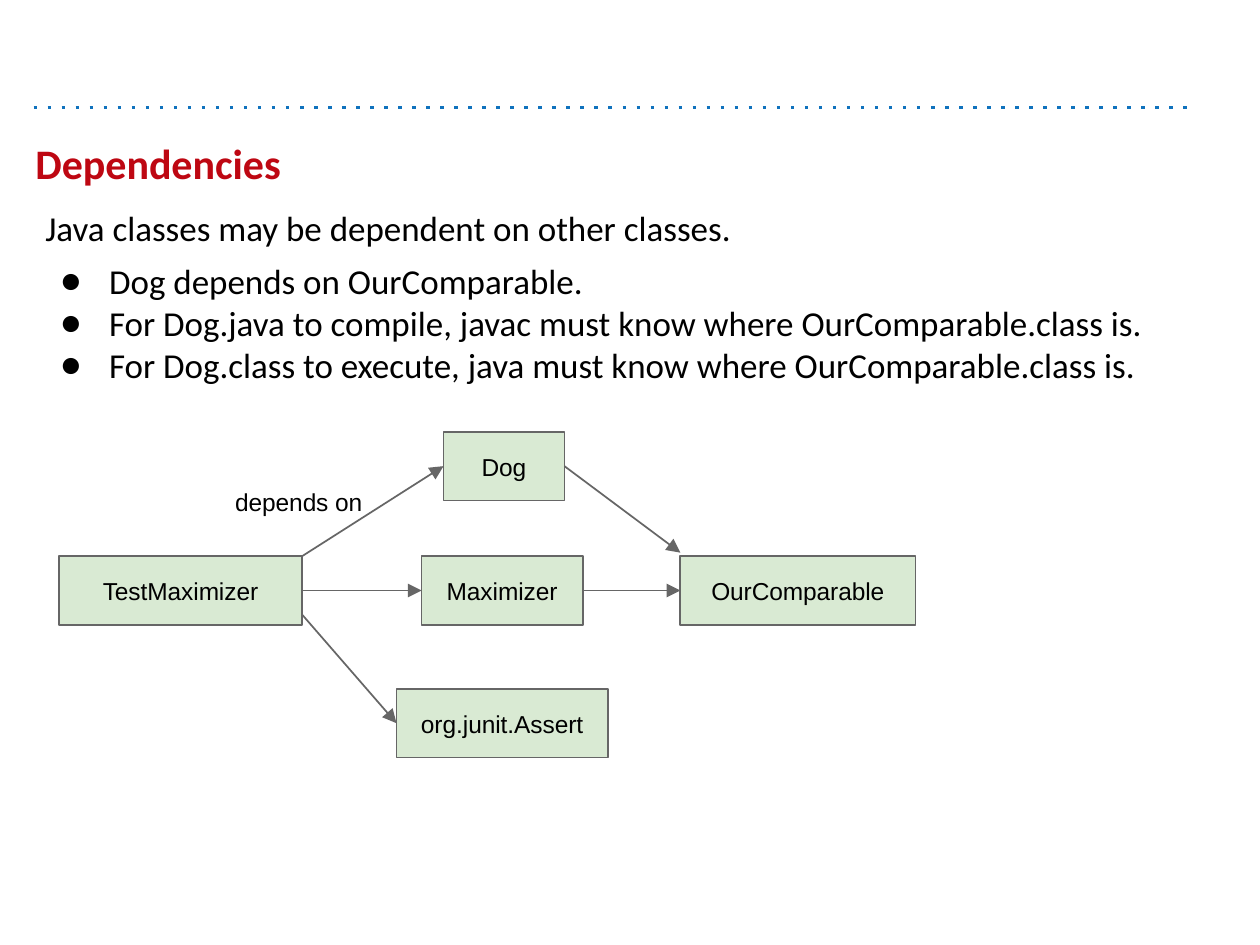
"""Build a slide showing the dependencies between Java classes."""
from lxml import etree
from pptx import Presentation
from pptx.dml.color import RGBColor
from pptx.enum.shapes import MSO_CONNECTOR, MSO_SHAPE
from pptx.enum.text import MSO_ANCHOR, PP_ALIGN
from pptx.oxml.ns import qn
from pptx.util import Inches, Pt

STRAIGHT, RECTANGLE = MSO_CONNECTOR.STRAIGHT, MSO_SHAPE.RECTANGLE
TOP, MIDDLE, BOTTOM = MSO_ANCHOR.TOP, MSO_ANCHOR.MIDDLE, MSO_ANCHOR.BOTTOM
LEFT, CENTER = PP_ALIGN.LEFT, PP_ALIGN.CENTER

THEME = {
    "title": ("Calibri", 18, "BE0712", True),
    "body": ("Calibri", 15, "000000", False),
    "diagram": ("Arial", 10.5, "000000", False),
    "rule": "1072BD",
    "box": "D9EAD3",
    "edge": "666666",
}
SLIDE_WIDTH = 7.5
SLIDE_HEIGHT = SLIDE_WIDTH * 3 / 4
TITLE = "Dependencies"
INTRO = "Java classes may be dependent on other classes."
BULLETS = [
    "Dog depends on OurComparable.",
    "For Dog.java to compile, javac must know where OurComparable.class is.",
    "For Dog.class to execute, java must know where OurComparable.class is.",
]
BOX_HEIGHT = 0.41
CLASSES = {
    "TestMaximizer": (0.35, 3.31, 1.45),
    "Dog": (2.64, 2.57, 0.72),
    "Maximizer": (2.51, 3.31, 0.96),
    "org.junit.Assert": (2.36, 4.1, 1.26),
    "OurComparable": (4.05, 3.31, 1.4),
}
MID = BOX_HEIGHT / 2
DEPENDENCIES = [
    ("TestMaximizer", 0, "Dog", MID),
    ("TestMaximizer", MID, "Maximizer", MID),
    ("TestMaximizer", 0.35, "org.junit.Assert", MID),
    ("Dog", MID, "OurComparable", -0.02),
    ("Maximizer", MID, "OurComparable", MID),
]
LABEL = "depends on"


def style_paragraph(paragraph, text, style, alignment=LEFT):
    name, size, color, bold = THEME[style]
    paragraph.text = text
    paragraph.alignment = alignment
    font = paragraph.font
    font.name, font.size, font.bold = name, Pt(size), bold
    font.color.rgb = RGBColor.from_string(color)


def prepare_frame(shape, anchor):
    frame = shape.text_frame
    frame.word_wrap = True
    frame.vertical_anchor = anchor
    frame.margin_left = frame.margin_right = Inches(0.07)
    frame.margin_top = frame.margin_bottom = Inches(0.07)
    return frame


def add_text(slide, bounds, text, style, anchor=TOP):
    frame = prepare_frame(slide.shapes.add_textbox(*map(Inches, bounds)), anchor)
    style_paragraph(frame.paragraphs[0], text, style)
    return frame


def add_bullet(frame, text):
    name, size, color, _ = THEME["body"]
    paragraph = frame.add_paragraph()
    properties = paragraph._p.get_or_add_pPr()
    properties.set("marL", str(Inches(0.38)))
    properties.set("indent", str(Inches(-0.29)))
    bullet_color = etree.SubElement(properties, qn("a:buClr"))
    etree.SubElement(bullet_color, qn("a:srgbClr")).set("val", color)
    etree.SubElement(properties, qn("a:buSzPts")).set("val", str(size * 100))
    etree.SubElement(properties, qn("a:buFont")).set("typeface", name)
    etree.SubElement(properties, qn("a:buChar")).set("char", "●")
    style_paragraph(paragraph, text, "body")
    return paragraph


def add_line(slide, start, end, color, width):
    line = slide.shapes.add_connector(STRAIGHT, *map(Inches, (*start, *end)))
    line.line.color.rgb = RGBColor.from_string(color)
    line.line.width = Pt(width)
    etree.SubElement(line._element.spPr, qn("a:effectLst"))
    return line.line._get_or_add_ln()


def add_class(slide, name):
    left, top, width = CLASSES[name]
    box = slide.shapes.add_shape(
        RECTANGLE, *map(Inches, (left, top, width, BOX_HEIGHT)))
    box.shadow.inherit = False
    box.fill.solid()
    box.fill.fore_color.rgb = RGBColor.from_string(THEME["box"])
    box.line.color.rgb = RGBColor.from_string(THEME["edge"])
    box.line.width = Pt(0.75)
    frame = prepare_frame(box, MIDDLE)
    style_paragraph(frame.paragraphs[0], name, "diagram", CENTER)


def add_dependency(slide, source, source_drop, target, target_drop):
    left, top, width = CLASSES[source]
    target_left, target_top, _ = CLASSES[target]
    outline = add_line(slide, (left + width, top + source_drop),
                       (target_left, target_top + target_drop), THEME["edge"], 0.75)
    etree.SubElement(outline, qn("a:tailEnd")).set("type", "triangle")


def main():
    presentation = Presentation()
    presentation.slide_width = Inches(SLIDE_WIDTH)
    presentation.slide_height = Inches(SLIDE_HEIGHT)
    slide = presentation.slides.add_slide(presentation.slide_layouts[6])

    rule = add_line(slide, (0.2, 0.64), (7.12, 0.64), THEME["rule"], 1.5)
    etree.SubElement(rule, qn("a:prstDash")).set("val", "dot")
    add_text(slide, (0.14, 0.78, 6.75, 0.41), TITLE, "title", BOTTOM)

    body = add_text(slide, (0.2, 1.16, 6.93, 1.18), INTRO, "body")
    body.paragraphs[0].space_before = Pt(4.5)
    bullets = [add_bullet(body, text) for text in BULLETS]
    bullets[0].space_before = Pt(4.5)

    for name in CLASSES:
        add_class(slide, name)
    for dependency in DEPENDENCIES:
        add_dependency(slide, *dependency)
    add_text(slide, (1.33, 2.83, 1.5, 0.25), LABEL, "diagram")

    presentation.save("out.pptx")


if __name__ == "__main__":
    main()
